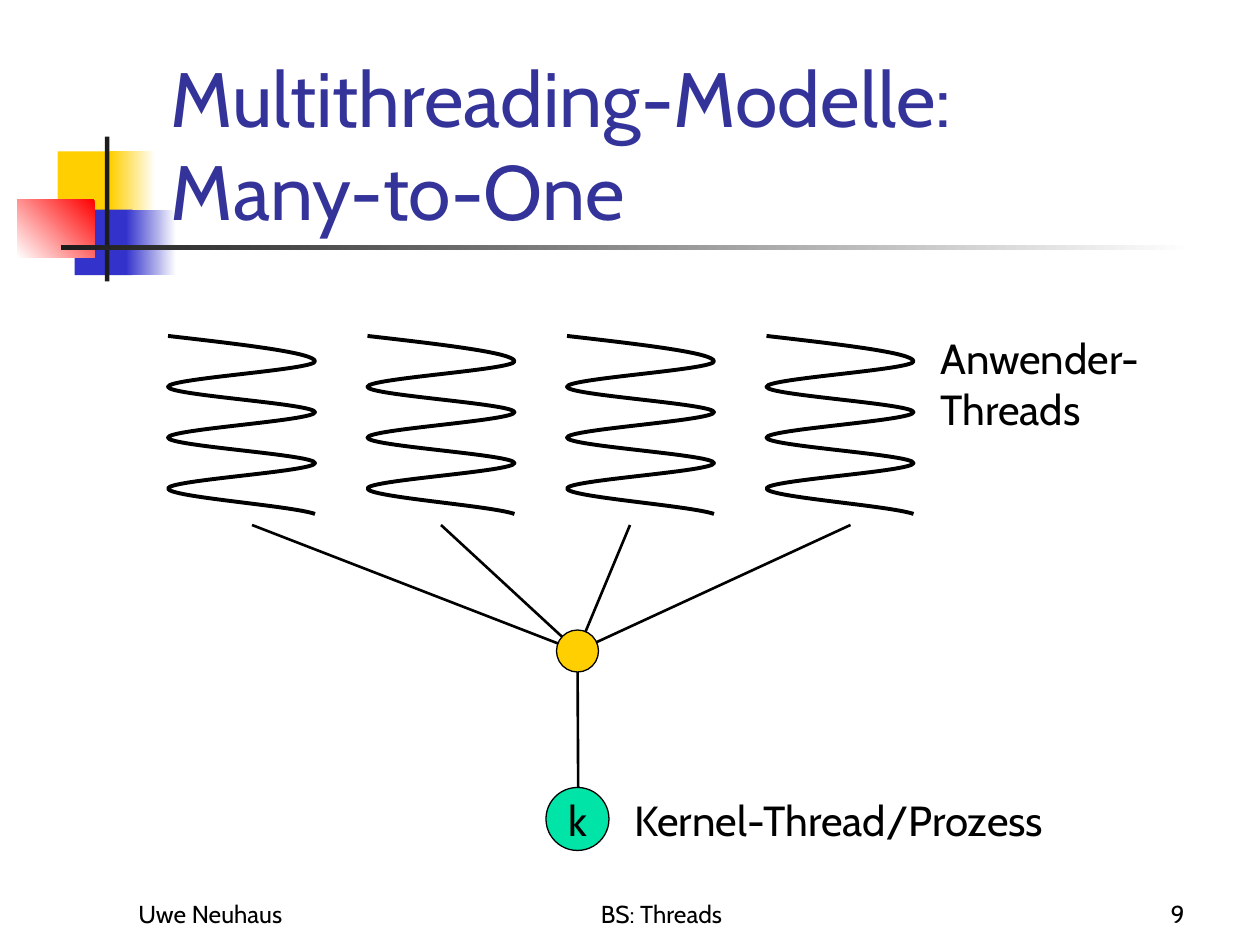
from lxml import etree
from pptx import Presentation
from pptx.dml.color import RGBColor as RGB
from pptx.enum.shapes import MSO_CONNECTOR as LINK, MSO_SHAPE as SHAPE
from pptx.enum.text import MSO_ANCHOR as ANCHOR, MSO_AUTO_SIZE as AUTO, PP_ALIGN as ALIGN
from pptx.oxml.ns import qn
from pptx.util import Pt

HUES = {
    "gold": "FFCF01", "blue": "3333CC", "red": "FF0000", "white": "FFFFFF",
    "dark": "1C1C1C", "black": "000000", "title": "333399", "mint": "00E4A8",
}
TONE = {name: RGB.from_string(code) for name, code in HUES.items()}


def write(shape, text, size, tone="black", align=ALIGN.LEFT, **look):
    frame = shape.text_frame
    frame.text = text
    base = {"word_wrap": True, "auto_size": AUTO.SHAPE_TO_FIT_TEXT, "vertical_anchor": ANCHOR.TOP}
    for key, value in {**base, **look}.items():
        setattr(frame, key, value)
    for para in frame.paragraphs:
        for key, value in {"alignment": align, "line_spacing": 1.01}.items():
            setattr(para, key, value)
        for run in para.runs:
            for key, value in {"name": "Cabin", "size": Pt(size)}.items():
                setattr(run.font, key, value)
            run.font.color.rgb = TONE[tone]


def place(kind, box, tones, angle=180, edge=None):
    shape = shapes.add_shape(kind, *map(Pt, box))
    shape.shadow.inherit = False
    if len(tones) == 1:
        shape.fill.solid()
        shape.fill.fore_color.rgb = TONE[tones[0]]
    else:
        shape.fill.gradient()
        shape.fill.gradient_angle = angle
        for stop, tone in zip(shape.fill.gradient_stops, tones):
            stop.color.rgb = TONE[tone]
    if edge:
        shape.line.width = Pt(edge)
        shape.line.color.rgb = TONE["black"]
    else:
        shape.line.fill.background()
    return shape


deck = Presentation()
deck.slide_width, deck.slide_height = Pt(720), Pt(540)
slide = deck.slides.add_slide(deck.slide_layouts[5])
shapes = slide.shapes

for box, tones, angle, round in [
    ((33, 86.5, 34.5, 37.5), ["gold"], 180, None),
    ((63, 86.5, 25.8, 37.5), ["white", "gold"], 180, None),
    ((42.7, 119.8, 33, 37.4), ["blue"], 180, None),
    ((72, 119.8, 28.8, 37.4), ["white", "blue"], 180, None),
    ((9.8, 113.8, 44.3, 33.4), ["red", "white"], 225, 0.01),
    ((60, 78, 2.5, 82.8), ["dark"], 180, None),
    ((34.8, 140.2, 648, 2.5), ["white", "dark"], 180, 0.05),
]:
    part = place(SHAPE.ROUNDED_RECTANGLE if round else SHAPE.RECTANGLE, box, tones, angle)
    if round:
        part.adjustments[0] = round

for text, box, align in [
    ("Uwe Neuhaus", (72, 509.8, 150, 24.5), ALIGN.LEFT),
    ("BS: Threads", (264, 509.8, 228, 24.5), ALIGN.CENTER),
    ("9", (534, 507.6, 150, 26.6), ALIGN.RIGHT),
]:
    note = shapes.add_textbox(*map(Pt, box))
    write(note, text, 14, align=align, vertical_anchor=ANCHOR.BOTTOM)

title = shapes.title
for key, value in {"left": 90.5, "top": 24.6, "width": 613.4, "height": 113.8}.items():
    setattr(title, key, Pt(value))
write(title, "Multithreading-Modelle:\vMany-to-One", 44, "title",
      vertical_anchor=ANCHOR.BOTTOM, auto_size=AUTO.NONE)
title.element.getparent().append(title.element)

WIDE, STEP = 84, 14.53
bends = [(0.5, 1, 1)] + [(1, 0, 0), (0, 1, 1)] * 2 + [(1, 0, 0), (0, 0.83, 1)]
for left in (210, 96, 324, 438):
    top = 192
    pen = shapes.build_freeform(Pt(left), Pt(top))
    pen.add_line_segments(
        [(Pt(left + WIDE * x), Pt(top + STEP * (row + step / 3)))
         for row, bend in enumerate(bends) for step, x in enumerate(bend, 1)],
        close=False)
    coil = pen.convert_to_shape()
    lines = list(coil.element.iter(qn("a:lnTo")))
    for first in range(0, len(lines), 3):
        curve = etree.SubElement(lines[first].getparent(), qn("a:cubicBezTo"))
        for line in lines[first:first + 3]:
            curve.append(line[0])
            line.getparent().remove(line)
    coil.shadow.inherit = False
    coil.fill.background()
    coil.line.width = Pt(2.25)
    coil.line.color.rgb = TONE["black"]

HUB = (330, 372)
for start, end in [
    ((144, 300), HUB), (HUB, (330.5, 468)),
    ((252, 300), HUB), ((360, 300), HUB), ((486, 300), HUB),
]:
    link = shapes.add_connector(LINK.STRAIGHT, *map(Pt, start + end))
    link.line.width = Pt(1.5)
    link.line.color.rgb = TONE["black"]
    etree.SubElement(link.element.spPr, qn("a:effectLst"))

core = place(SHAPE.OVAL, (312, 450, 36, 36), ["mint"], edge=0.75)
mark = shapes.add_textbox(*map(Pt, (316.5, 450, 27, 36.7)))
write(mark, "k", 24, align=ALIGN.CENTER, vertical_anchor=ANCHOR.MIDDLE, word_wrap=False)
shapes.add_group_shape([core, mark])
place(SHAPE.OVAL, (318, 360, 24, 24), ["gold"], edge=0.75)

for text, box in [
    ("Kernel-Thread/Prozess", (355.5, 450, 270.7, 36.7)),
    ("Anwender-\vThreads", (530.2, 186.2, 137.5, 65.5)),
]:
    write(shapes.add_textbox(*map(Pt, box)), text, 24, word_wrap=False)

deck.save("out.pptx")
